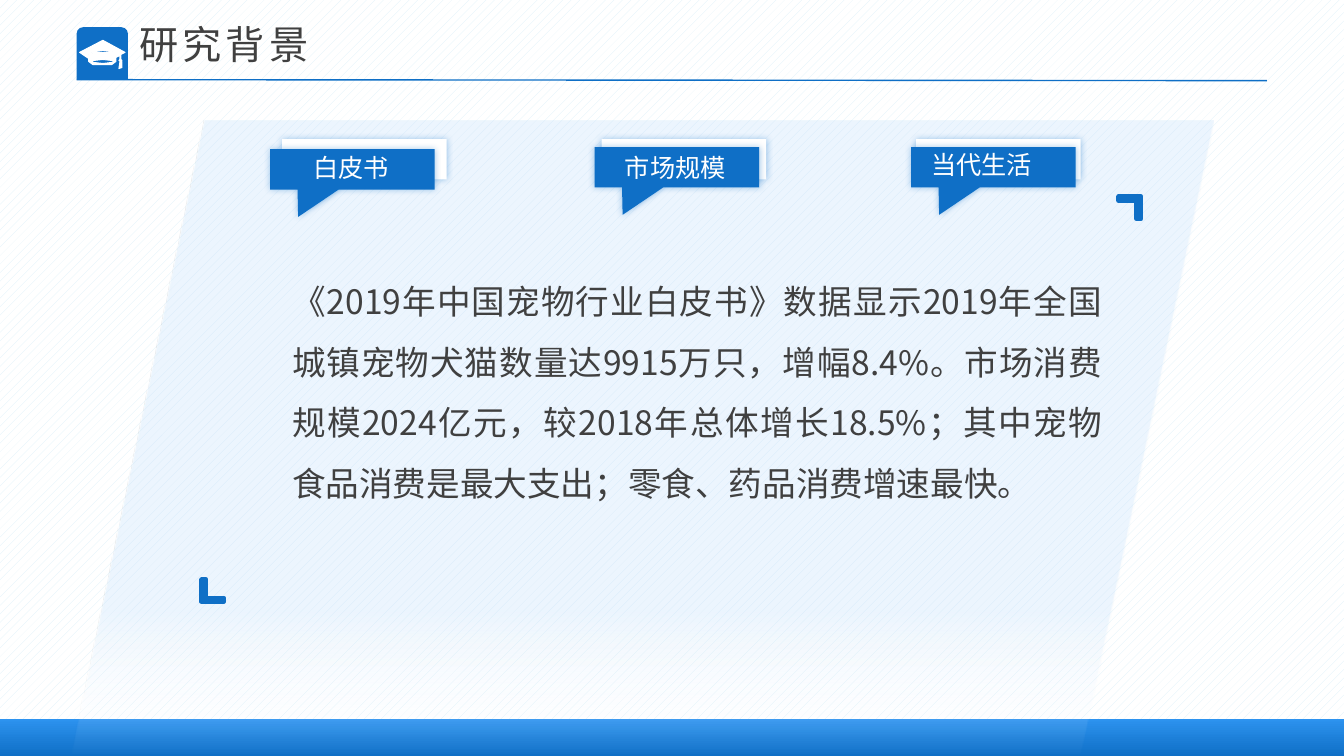
"""Build the research background slide."""
from lxml import etree
from pptx import Presentation
from pptx import util as u
from pptx.dml.color import RGBColor
from pptx.enum import dml, lang, shapes, text
from pptx.oxml import parse_xml
from pptx.oxml.ns import nsdecls, qn

BLUE = RGBColor(0x0F, 0x6F, 0xC6)
SKY = RGBColor(0x2D, 0x93, 0xEF)
PALE = RGBColor(0xC5, 0xE1, 0xFB)
MIST = RGBColor(0xDB, 0xEF, 0xF9)
WHITE = RGBColor(0xFF, 0xFF, 0xFF)
INK = RGBColor(0x40, 0x40, 0x40)
CJK = "Noto Sans CJK SC"
KIND = shapes.MSO_SHAPE
ALIGN = text.PP_ALIGN

CAP = [
    [(120, 59), (120, 54), (124, 52), (102, 40), (79, 52), (88, 58), (88, 61),
     (92, 63.5), (102, 64), (111, 63.5), (115, 61), (115, 57), (119, 55),
     (119, 59), (118, 60), (120, 61), (121, 60)],
    [(102, 63), (93, 62.5), (90, 61), (93, 59.5), (102, 59), (111, 59.5),
     (114, 61), (111, 62.5)],
    [(115, 55), (111, 52.5), (102, 52), (93, 52.5), (88, 55), (88, 54),
     (93, 51), (102, 50), (111, 51), (115, 54)],
    [(119, 61), (118, 68), (121, 67), (121, 61)],
]
BODY = ("《2019年中国宠物行业白皮书》数据显示2019年全国城镇宠物犬猫数量达9915万只，"
        "增幅8.4%。市场消费规模2024亿元，较2018年总体增长18.5%；"
        "其中宠物食品消费是最大支出；零食、药品消费增速最快。")


class Deck:
    """Hold the style and the current slide."""

    def __init__(self):
        self.prs = Presentation()
        self.prs.slide_width, self.prs.slide_height = u.Pt(960), u.Pt(540)
        self.s = self.prs.slides.add_slide(self.prs.slide_layouts[5])

    def paint(self, sp, fill, line=None):
        """Give a shape a plain fill and an optional outline."""
        sp.shadow.inherit = False
        if fill is None:
            sp.fill.background()
        else:
            sp.fill.solid()
            sp.fill.fore_color.rgb = fill
        if line:
            sp.line.color.rgb = fill
            sp.line.width = u.Pt(line)
        else:
            sp.line.fill.background()

    def shape(self, kind, box, fill=None, line=None, adj=(), rotation=0):
        """Add a preset shape."""
        sp = self.s.shapes.add_shape(kind, *map(u.Pt, box))
        self.paint(sp, fill, line)
        for i, value in enumerate(adj):
            sp.adjustments[i] = value
        sp.rotation = rotation
        return sp

    def pattern(self, box, fore, back):
        """Add a dotted rectangle."""
        sp = self.shape(KIND.RECTANGLE, box)
        sp.fill.patterned()
        sp.fill.pattern = dml.MSO_PATTERN.PERCENT_20
        sp.fill.fore_color.rgb, sp.fill.back_color.rgb = fore, back

    def gradient(self, kind, box, stops, angle, adj=()):
        """Add a shape with a gradient of position, colour and opacity."""
        sp = self.shape(kind, box, adj=adj)
        gs = "".join(
            f'<a:gs pos="{pos * 1000}"><a:srgbClr val="{rgb}">'
            f'<a:alpha val="{alpha * 1000}"/></a:srgbClr></a:gs>'
            for pos, rgb, alpha in stops)
        grad = parse_xml(
            f'<a:gradFill {nsdecls("a")} rotWithShape="1"><a:gsLst>{gs}</a:gsLst>'
            f'<a:lin ang="{angle * 60000}" scaled="0"/></a:gradFill>')
        pr = sp._element.spPr
        pr.replace(pr.find(qn("a:noFill")), grad)

    def callout(self, x, y, fill):
        """Add a speech callout with a soft glow."""
        sp = self.shape(KIND.RECTANGULAR_CALLOUT, (x, y, 117.4, 28.8), fill,
                        adj=(-0.33, 1.18))
        glow = parse_xml(
            f'<a:outerShdw {nsdecls("a")} blurRad="{u.Pt(5)}" dist="0" dir="0" '
            f'algn="ctr" rotWithShape="0"><a:srgbClr val="{BLUE}">'
            f'<a:alpha val="40000"/></a:srgbClr></a:outerShdw>')
        sp._element.spPr.find(qn("a:effectLst")).append(glow)

    def outline(self, contours, fill, line):
        """Add a freeform drawn in hundredths of an inch."""
        fb = self.s.shapes.build_freeform(*contours[0][0], scale=u.Pt(0.72))
        fb.add_line_segments(contours[0][1:])
        for contour in contours[1:]:
            fb.move_to(*contour[0])
            fb.add_line_segments(contour[1:])
        self.paint(fb.convert_to_shape(), fill, line)

    def line(self, x1, y1, x2, y2, color, width):
        """Add a straight line."""
        c = self.s.shapes.add_connector(
            shapes.MSO_CONNECTOR.STRAIGHT, *map(u.Pt, (x1, y1, x2, y2)))
        c.line.color.rgb, c.line.width = color, u.Pt(width)
        etree.SubElement(c._element.spPr, qn("a:effectLst"))

    def fill_text(self, tf, words, size, color, font, frame, para):
        """Fill a text frame with one formatted run."""
        p = tf.paragraphs[0]
        r = p.add_run()
        r.text = words
        r.font.color.rgb = color
        looks = {"size": u.Pt(size), "name": font, "bold": False,
                 "language_id": lang.MSO_LANGUAGE_ID.SIMPLIFIED_CHINESE}
        for target, values in ((tf, frame), (p, para), (r.font, looks)):
            for key, value in values.items():
                setattr(target, key, value)
        pr = r._r.get_or_add_rPr()
        ea = etree.Element(qn("a:ea"), typeface=CJK)
        pr.find(qn("a:latin")).addnext(ea)
        return pr

    def label(self, box, words, size, color, font="Arial", wrap=True, **para):
        """Add a text box."""
        tf = self.s.shapes.add_textbox(*map(u.Pt, box)).text_frame
        frame = {"word_wrap": wrap,
                 "auto_size": text.MSO_AUTO_SIZE.SHAPE_TO_FIT_TEXT}
        self.fill_text(tf, words, size, color, font, frame, para)

    def title(self, box, words, size, color):
        """Place and format the title above the backdrop."""
        sp = self.s.shapes.title
        sp.left, sp.top, sp.width, sp.height = map(u.Pt, box)
        frame = {"word_wrap": True, "auto_size": text.MSO_AUTO_SIZE.NONE,
                 "vertical_anchor": text.MSO_ANCHOR.TOP}
        para = {"alignment": ALIGN.LEFT, "space_before": u.Pt(10),
                "line_spacing": 0.9}
        pr = self.fill_text(sp.text_frame, words, size, color, "Arial", frame,
                            para)
        pr.set("spc", "300")
        self.s.shapes._spTree.append(sp._element)


def main():
    d = Deck()
    d.pattern((0, 0, 960, 540), MIST, WHITE)
    d.shape(KIND.ROUND_2_SAME_RECTANGLE, (54.7, 19.4, 36.7, 37.4), BLUE,
            adj=(0.13, 0))
    d.gradient(KIND.RECTANGLE, (0, 513.4, 960, 26.6),
               [(0, BLUE, 100), (100, SKY, 100)], 270)
    d.outline(CAP, WHITE, 0.75)
    d.line(54.7, 56.9, 905, 57.6, BLUE, 1)
    d.gradient(KIND.PARALLELOGRAM, (51.1, 86.4, 815.8, 453.6),
               [(77, PALE, 33), (100, WHITE, 0)], 90, adj=(0.21,))
    d.title((92.2, 14.4, 525.6, 72), "研究背景", 28, INK)
    d.label((201.6, 182.9, 592.6, 176.4), BODY, 24, INK, CJK,
            alignment=ALIGN.JUSTIFY, line_spacing=1.5)

    for x in (201.6, 429.8, 654.5):
        d.callout(x, 99.4, WHITE)
    for x, y in ((193, 106.6), (424.8, 105.1), (650.9, 105.1)):
        d.callout(x, y, BLUE)
    d.label((216.7, 105.1, 69.1, 28.8), "白皮书", 18, WHITE, wrap=False)
    d.label((429.8, 105.1, 105.1, 28.8), "市场规模", 18, WHITE,
            alignment=ALIGN.CENTER)
    d.label((658.1, 103, 87.1, 51.1), "当代生活", 18, WHITE, wrap=False)

    for x, y, width, rotation in ((144, 414, 3, 0), (799.2, 140.4, 3.5, 180)):
        d.shape(KIND.CORNER, (x, y, 15.8, 15.8), BLUE, width, (0.18, 0.21),
                rotation)
    d.prs.save("out.pptx")


if __name__ == "__main__":
    main()
